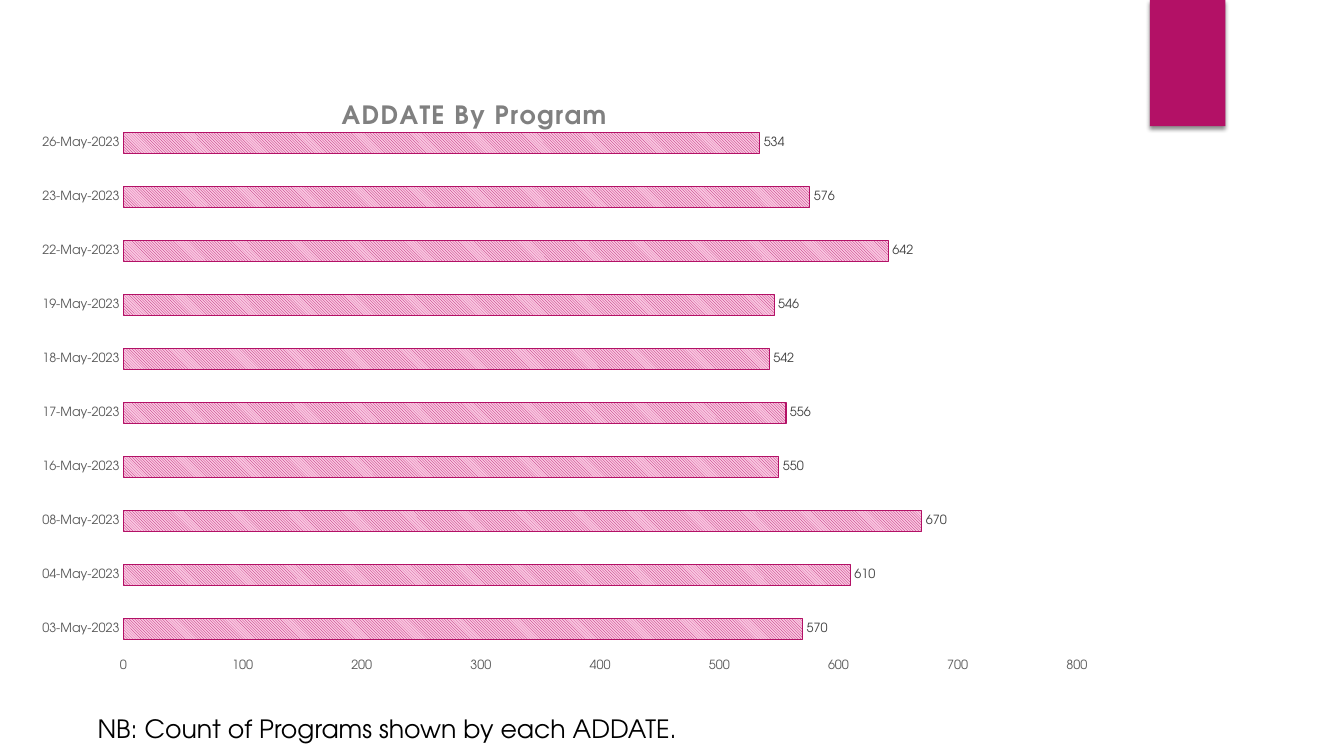
from lxml.etree import SubElement
from pptx import Presentation
from pptx.chart.data import CategoryChartData
from pptx.dml.color import RGBColor
from pptx.enum.chart import XL_CHART_TYPE as ChartType
from pptx.enum.chart import XL_LABEL_POSITION as LabelPosition
from pptx.enum.chart import XL_TICK_MARK as TickMark
from pptx.enum.dml import MSO_PATTERN as Pattern
from pptx.enum.shapes import MSO_SHAPE as Shape
from pptx.enum.text import MSO_AUTO_SIZE as AutoSize
from pptx.oxml import parse_xml
from pptx.oxml.ns import nsdecls, qn
from pptx.util import Cm, Pt

FONT = "TeX Gyre Adventor"
COLORS = {
    "magenta": "B31166",
    "pink": "FAC6E1",
    "title": "808080",
    "axis": "595959",
    "label": "404040",
    "black": "000000",
}
PROGRAMS = {
    "03-May-2023": 570,
    "04-May-2023": 610,
    "08-May-2023": 670,
    "16-May-2023": 550,
    "17-May-2023": 556,
    "18-May-2023": 542,
    "19-May-2023": 546,
    "22-May-2023": 642,
    "23-May-2023": 576,
    "26-May-2023": 534,
}


def color(name):
    return RGBColor.from_string(COLORS[name])


def style_font(font, size, color_name, bold=False):
    font.name = FONT
    font.size = Pt(size)
    font.bold = bold
    font.color.rgb = color(color_name)


def manual_layout(**values):
    layout = parse_xml(f"<c:layout {nsdecls('c')}><c:manualLayout/></c:layout>")
    for tag, value in values.items():
        SubElement(layout[0], qn(f"c:{tag}"), val=str(value))
    return layout


def remove_layout(element):
    for layout in element.findall(qn("c:layout")):
        element.remove(layout)


def add_ribbon(slide):
    ribbon = slide.shapes.add_shape(Shape.RECTANGLE, Cm(28.98), Cm(0), Cm(1.9), Cm(3.18))
    ribbon.fill.solid()
    ribbon.fill.fore_color.rgb = color("magenta")
    ribbon.line.fill.background()
    ribbon.shadow.inherit = False
    effects = ribbon.element.spPr.find(qn("a:effectLst"))
    effects.append(parse_xml(
        f'<a:outerShdw {nsdecls("a")} blurRad="{Pt(3)}" dist="{Pt(2)}" dir="5400000" rotWithShape="0">'
        f'<a:srgbClr val="{COLORS["black"]}"><a:alpha val="45000"/></a:srgbClr></a:outerShdw>'
    ))


def style_title(chart):
    chart.has_title = True
    title = chart.chart_title
    paragraph = title.text_frame.paragraphs[0]
    paragraph.text = "ADDATE By Program"
    style_font(paragraph.font, 18, "title", bold=True)
    paragraph.font._element.set("spc", "100")
    title.include_in_layout = False
    remove_layout(title.element)
    title.element.find(qn("c:tx")).addnext(
        manual_layout(xMode="edge", yMode="edge", x=0.29, y=0.08))


def style_axis(axis):
    axis.has_major_gridlines = False
    axis.major_tick_mark = TickMark.NONE
    axis.minor_tick_mark = TickMark.NONE
    axis.format.line.fill.background()
    style_font(axis.tick_labels.font, 9, "axis")


def style_bars(plot):
    plot.gap_width = 160
    plot.vary_by_categories = False
    bars = plot.series[0]
    fill = bars.format.fill
    fill.patterned()
    fill.pattern = Pattern.LIGHT_DOWNWARD_DIAGONAL
    fill.fore_color.rgb = color("magenta")
    fill.back_color.rgb = color("pink")
    bars.format.line.color.rgb = color("magenta")
    bars.format.line.width = Pt(0.75)
    labels = bars.data_labels
    labels.show_value = True
    labels.position = LabelPosition.OUTSIDE_END
    labels.number_format = "0"
    labels.number_format_is_linked = False
    style_font(labels.font, 9, "label")


def add_program_chart(slide):
    data = CategoryChartData(number_format="0")
    data.categories = list(PROGRAMS)
    data.add_series("Series 1", list(PROGRAMS.values()))
    chart = slide.shapes.add_chart(
        ChartType.BAR_CLUSTERED, Cm(0.53), Cm(1.19), Cm(27.46), Cm(16.05), data).chart
    style_font(chart.font, 10, "black")
    chart.has_legend = False
    style_title(chart)
    style_axis(chart.category_axis)
    style_axis(chart.value_axis)
    chart.value_axis.minimum_scale = 0
    chart.value_axis.maximum_scale = 800
    chart.value_axis.major_unit = 100
    chart.value_axis.tick_labels.number_format = "0"
    chart.value_axis.tick_labels.number_format_is_linked = False
    style_bars(chart.plots[0])
    plot_area = chart.element.find(".//" + qn("c:plotArea"))
    remove_layout(plot_area)
    plot_area.insert(0, manual_layout(
        layoutTarget="inner", xMode="edge", yMode="edge", x=0.094, y=0.108, w=0.875, h=0.848))


def add_note(slide):
    note = slide.shapes.add_textbox(Cm(2.21), Cm(17.86), Cm(18.08), Cm(1.02))
    frame = note.text_frame
    frame.word_wrap = True
    frame.auto_size = AutoSize.SHAPE_TO_FIT_TEXT
    paragraph = frame.paragraphs[0]
    paragraph.text = "NB: Count of Programs shown by each ADDATE."
    style_font(paragraph.font, 18, "black")


def main():
    presentation = Presentation()
    presentation.slide_width = Cm(33.87)
    presentation.slide_height = Cm(19.05)
    slide = presentation.slides.add_slide(presentation.slide_layouts[6])
    add_ribbon(slide)
    add_program_chart(slide)
    add_note(slide)
    presentation.save("out.pptx")


if __name__ == "__main__":
    main()
